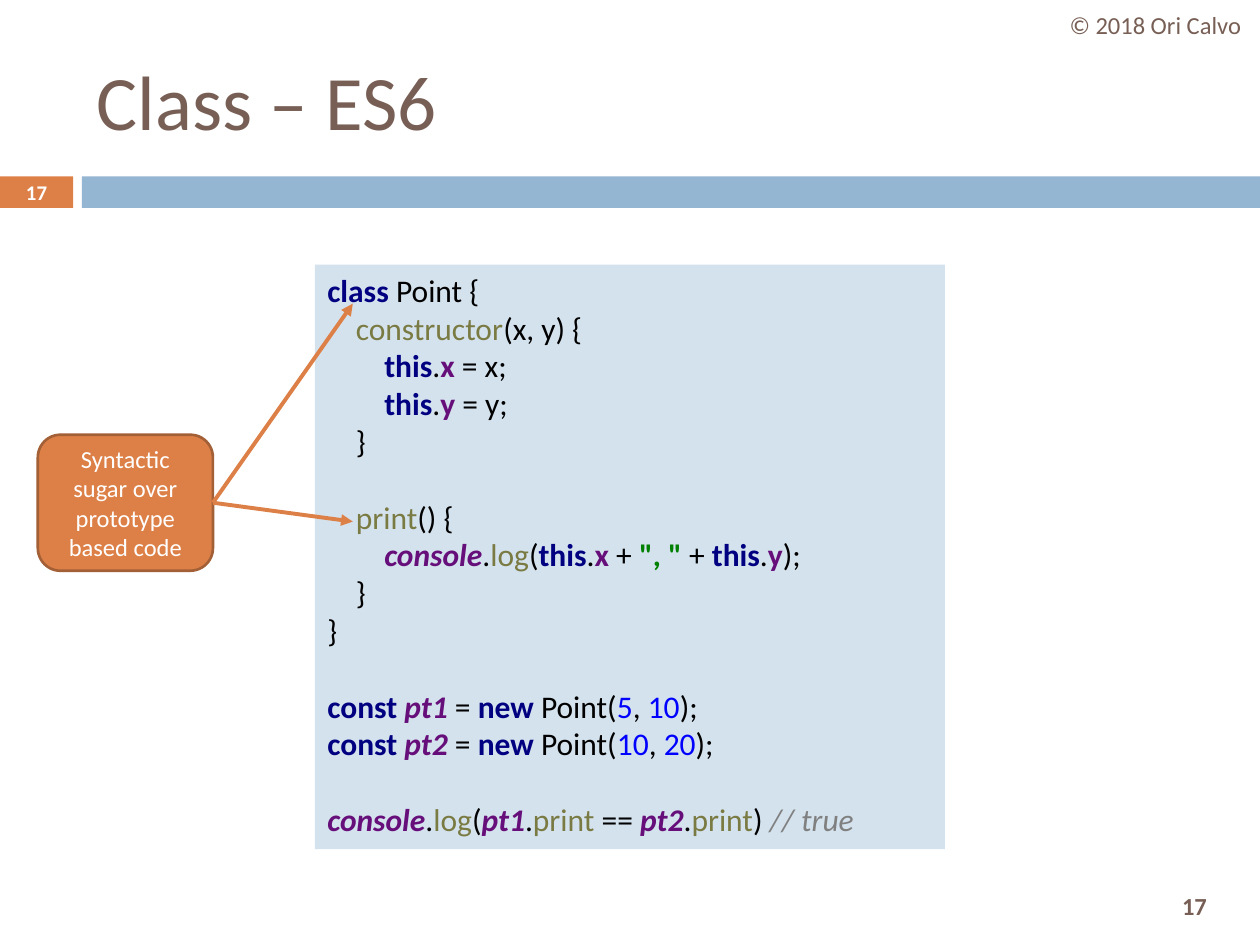
"""Builds the slide that shows an ES6 class with a callout."""
from dataclasses import dataclass

from lxml import etree
from pptx import Presentation
from pptx.dml.color import RGBColor
from pptx.enum.shapes import MSO_CONNECTOR, MSO_SHAPE
from pptx.enum.text import MSO_ANCHOR, PP_ALIGN
from pptx.oxml.ns import qn
from pptx.util import Inches, Pt

FONT = "Calibri"
COLORS = {
    "orange": "DD8047", "orange_dark": "A35F35", "blue": "94B6D2", "pale_blue": "D4E2ED",
    "brown": "775F55", "white": "FFFFFF", "plain": "000000", "keyword": "000080",
    "field": "660E7A", "global": "660E7A", "method": "7A7A43", "string": "008000",
    "number": "0000FF", "comment": "808080",
}
BOLD = {"keyword", "field", "global", "string"}
ITALIC = {"global", "comment"}
CODE_SIZE = 18
BLANK_LINE = 21.6
INDENT = 0.226


@dataclass(frozen=True)
class Box:
    left: float
    top: float
    width: float
    height: float


@dataclass(frozen=True)
class Label:
    text: str
    box: Box
    size: float
    color: str = "brown"
    bold: bool = False
    align: PP_ALIGN = PP_ALIGN.CENTER
    wrap: bool = True


@dataclass(frozen=True)
class CodeLine:
    tokens: list[tuple[str, str]]
    level: int = 0
    blank_before: bool = False


def assign(name: str) -> list[tuple[str, str]]:
    return [("keyword", "this"), ("plain", "."), ("field", f"{name} "), ("plain", f"= {name};")]


def create(name: str, x: int, y: int) -> list[tuple[str, str]]:
    return [("keyword", "const "), ("global", f"{name} "), ("plain", "= "), ("keyword", "new "),
            ("plain", "Point("), ("number", str(x)), ("plain", ", "), ("number", str(y)),
            ("plain", ");")]


LOG = [("global", "console"), ("plain", "."), ("method", "log"), ("plain", "(")]
CODE = [
    CodeLine([("keyword", "class "), ("plain", "Point {")]),
    CodeLine([("method", "constructor"), ("plain", "(x, y) {")], 1),
    CodeLine(assign("x"), 2),
    CodeLine(assign("y"), 2),
    CodeLine([("plain", "}")], 1),
    CodeLine([("method", "print"), ("plain", "() {")], 1, True),
    CodeLine(LOG + [("keyword", "this"), ("plain", "."), ("field", "x "), ("plain", "+ "),
                    ("string", '", " '), ("plain", "+ "), ("keyword", "this"), ("plain", "."),
                    ("field", "y"), ("plain", ");")], 2),
    CodeLine([("plain", "}")], 1),
    CodeLine([("plain", "}")]),
    CodeLine(create("pt1", 5, 10), 0, True),
    CodeLine(create("pt2", 10, 20)),
    CodeLine(LOG + [("global", "pt1"), ("plain", "."), ("method", "print "), ("plain", "== "),
                    ("global", "pt2"), ("plain", "."), ("method", "print"), ("plain", ") "),
                    ("comment", "// true")], 0, True),
]
LABELS = [
    Label("17", Box(9.02, 6.98, 0.92, 0.42), 14, bold=True),
    Label("Class – ES6", Box(0.67, 0.25, 8.92, 1.08), 44, align=PP_ALIGN.LEFT),
    Label("© 2018 Ori Calvo", Box(8.34, 0, 1.66, 0.4), 14, wrap=False),
    Label("17", Box(0, 1.39, 0.58, 0.27), 11.9, "white", True),
]
ARROW_TIPS = [(2.8, 2.41), (2.8, 4.14)]


def color(name: str) -> RGBColor:
    return RGBColor.from_string(COLORS[name])


def place(box: Box) -> tuple:
    return Inches(box.left), Inches(box.top), Inches(box.width), Inches(box.height)


def add_run(paragraph, text: str, size: float, tint: str, bold=False, italic=False) -> None:
    run = paragraph.add_run()
    run.text = text
    font = run.font
    font.name, font.size, font.bold, font.italic = FONT, Pt(size), bold, italic
    font.color.rgb = color(tint)


def add_block(slide, box: Box, fill: str, preset=MSO_SHAPE.RECTANGLE, outline: str = ""):
    shape = slide.shapes.add_shape(preset, *place(box))
    shape.shadow.inherit = False
    shape.fill.solid()
    shape.fill.fore_color.rgb = color(fill)
    if outline:
        shape.line.color.rgb = color(outline)
        shape.line.width = Pt(1.5)
    else:
        shape.line.fill.background()
    return shape


def write(shape, label: Label) -> None:
    frame = shape.text_frame
    frame.word_wrap = label.wrap
    frame.vertical_anchor = MSO_ANCHOR.MIDDLE
    paragraph = frame.paragraphs[0]
    paragraph.alignment = label.align
    add_run(paragraph, label.text, label.size, label.color, label.bold)


def add_code(slide, box: Box, lines: list[CodeLine]) -> None:
    frame = add_block(slide, box, "pale_blue").text_frame
    frame.word_wrap = True
    frame.vertical_anchor = MSO_ANCHOR.TOP
    for number, line in enumerate(lines):
        paragraph = frame.add_paragraph() if number else frame.paragraphs[0]
        paragraph.alignment = PP_ALIGN.LEFT
        paragraph.space_before = Pt(BLANK_LINE if line.blank_before else 0)
        paragraph._p.get_or_add_pPr().set("marL", str(Inches(INDENT * line.level)))
        for kind, text in line.tokens:
            add_run(paragraph, text, CODE_SIZE, kind, kind in BOLD, kind in ITALIC)


def add_arrow(slide, source, tip: tuple[float, float]) -> None:
    x, y = map(Inches, tip)
    arrow = slide.shapes.add_connector(MSO_CONNECTOR.STRAIGHT, x, y, x, y)
    arrow.begin_connect(source, 3)
    arrow.line.color.rgb = color("orange")
    arrow.line.width = Pt(2.25)
    etree.SubElement(arrow.line._get_or_add_ln(), qn("a:tailEnd"), type="triangle")
    etree.SubElement(arrow._element.spPr, qn("a:effectLst"))


def main() -> None:
    deck = Presentation()
    deck.slide_width, deck.slide_height = Inches(10), Inches(7.5)
    slide = deck.slides.add_slide(deck.slide_layouts[6])
    add_block(slide, Box(0, 1.4, 0.58, 0.25), "orange")
    add_block(slide, Box(0.65, 1.4, 9.35, 0.25), "blue")
    for label in LABELS:
        write(slide.shapes.add_textbox(*place(label.box)), label)
    add_code(slide, Box(2.5, 2.1, 5, 4.64), CODE)
    callout = Label("Syntactic sugar over prototype based code", Box(0.3, 3.45, 1.39, 1.08),
                    14, "white")
    bubble = add_block(slide, callout.box, "orange", MSO_SHAPE.ROUNDED_RECTANGLE, "orange_dark")
    write(bubble, callout)
    for tip in ARROW_TIPS:
        add_arrow(slide, bubble, tip)
    deck.save("out.pptx")


main()
